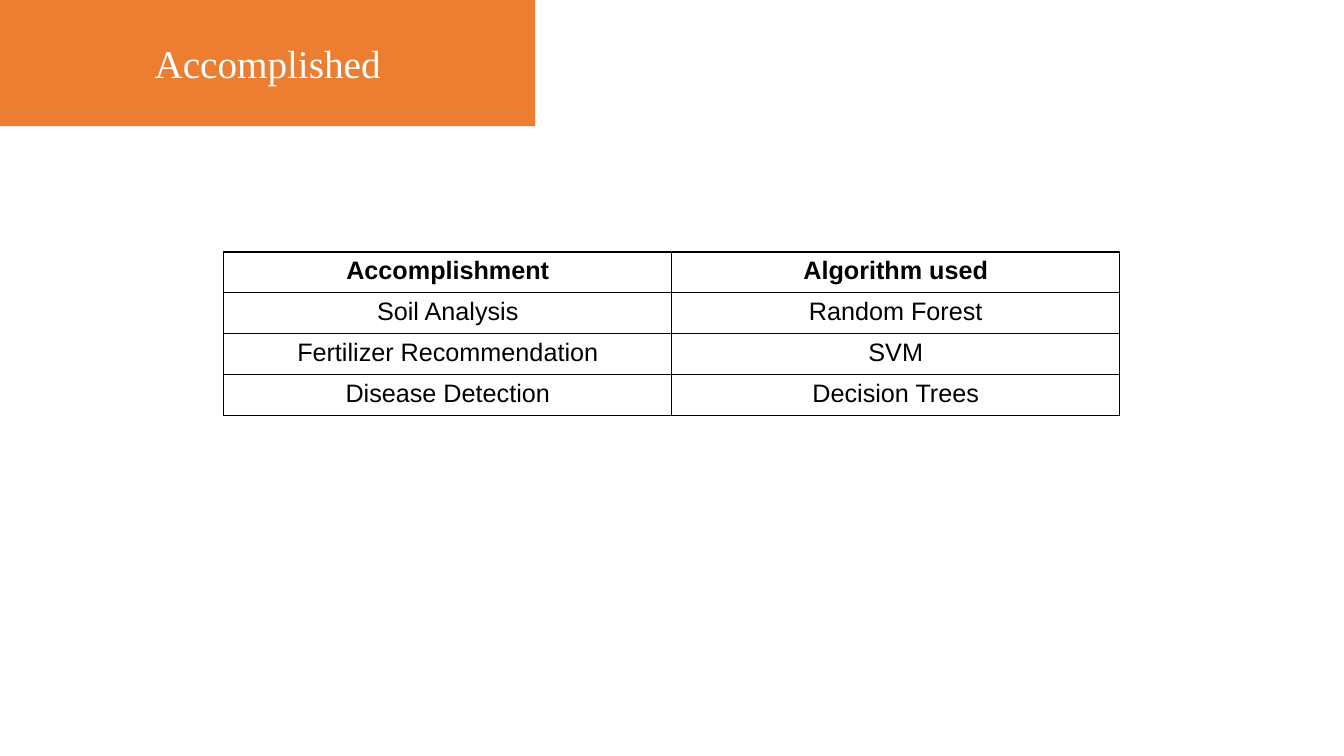
from lxml import etree
from pptx import Presentation
from pptx.dml.color import RGBColor
from pptx.enum.shapes import MSO_SHAPE
from pptx.enum.text import MSO_ANCHOR, PP_ALIGN
from pptx.oxml.ns import qn
from pptx.util import Cm, Pt

RECT = MSO_SHAPE.RECTANGLE
MIDDLE = MSO_ANCHOR.MIDDLE
CENTER = PP_ALIGN.CENTER
COLORS = {"banner": "ED7D31", "title": "FFFFFF", "text": "000000", "border": "000000"}
ROWS = [
    ("Accomplishment", "Algorithm used"),
    ("Soil Analysis", "Random Forest"),
    ("Fertilizer Recommendation", "SVM"),
    ("Disease Detection", "Decision Trees"),
]


def color(name):
    return RGBColor.from_string(COLORS[name])


def style(para, face, size, name, bold=False):
    para.alignment = CENTER
    font = para.font
    font.name = face
    font.size = Pt(size)
    font.bold = bold
    font.color.rgb = color(name)


def add_banner(slide, left, top, width, height, title):
    banner = slide.shapes.add_shape(RECT, left, top, width, height)
    banner.shadow.inherit = False
    banner.fill.solid()
    banner.fill.fore_color.rgb = color("banner")
    banner.line.fill.background()
    frame = banner.text_frame
    frame.word_wrap = True
    frame.vertical_anchor = MIDDLE
    frame.text = title
    style(frame.paragraphs[0], "Times New Roman", 28, "title")


def add_borders(cell):
    props = cell._tc.get_or_add_tcPr()
    for index, side in enumerate(("lnL", "lnR", "lnT", "lnB")):
        line = etree.Element(qn("a:" + side), w=str(Pt(1)))
        fill = etree.SubElement(line, qn("a:solidFill"))
        etree.SubElement(fill, qn("a:srgbClr"), val=COLORS["border"])
        props.insert(index, line)


def add_grid(slide, left, top, width, height, rows):
    count = len(rows[0])
    table = slide.shapes.add_table(len(rows), count, left, top, width, height).table
    table.horz_banding = False
    for r, row in enumerate(rows):
        for c, text in enumerate(row):
            cell = table.cell(r, c)
            cell.text = text
            cell.fill.background()
            style(cell.text_frame.paragraphs[0], "Arial", 18, "text", r == 0)
            add_borders(cell)


def main():
    deck = Presentation()
    deck.slide_width = Cm(33.87)
    deck.slide_height = Cm(19.05)
    slide = deck.slides.add_slide(deck.slide_layouts[6])
    add_banner(slide, 0, 0, Cm(13.49), Cm(3.18), "Accomplished")
    add_grid(slide, Cm(5.64), Cm(6.35), Cm(22.58), Cm(4.12), ROWS)
    deck.save("out.pptx")


if __name__ == "__main__":
    main()
